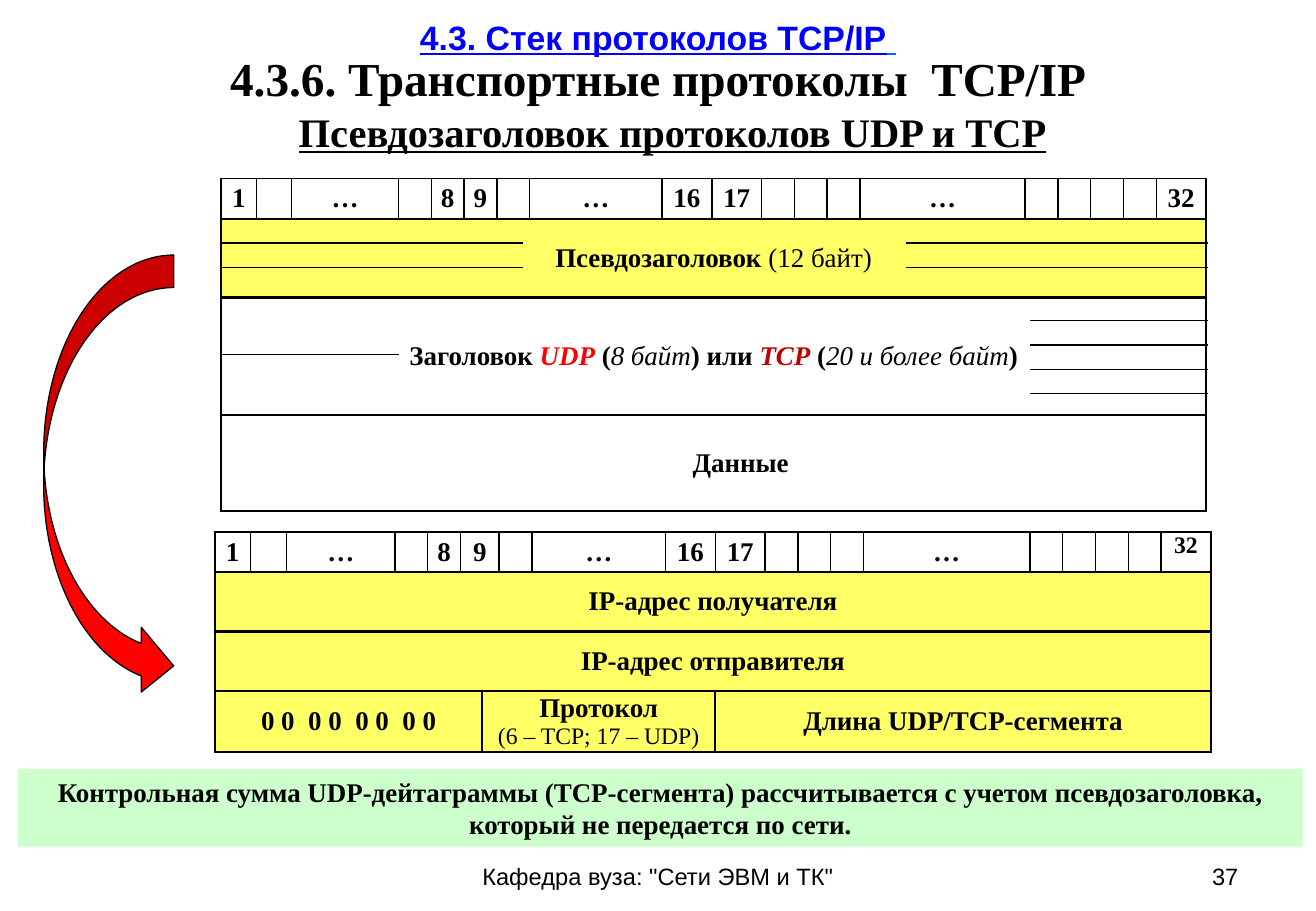
import pptx
import pptx.util
import pptx.dml.color
import pptx.enum.shapes
import pptx.enum.text
import pptx.oxml.ns
from dataclasses import dataclass
from lxml import etree

Inches, Pt = pptx.util.Inches, pptx.util.Pt
Align = pptx.enum.text.PP_ALIGN
Anchor = pptx.enum.text.MSO_ANCHOR


@dataclass(frozen=True)
class Theme:
    """Colours, fonts and type sizes of the slide."""
    black: str = "000000"
    link: str = "0000FF"
    link_end: str = "0066FF"
    red: str = "FF0000"
    dark_red: str = "C00000"
    yellow: str = "FFFF66"
    green: str = "CCFFCC"
    serif: str = "Times New Roman"
    sans: str = "Arial"
    title: int = 28
    subtitle: int = 24
    section: int = 20
    body: int = 16
    small: int = 14


theme = Theme()
PLAIN = {"bold": False}
ITALIC = {"bold": False, "italic": True}
SMALL = {"bold": False, "size": theme.small}
SECTION = {"name": theme.sans, "size": theme.section, "underline": True}
FOOTER = {"name": theme.sans, "size": theme.small, "bold": False}

# A paragraph is a list of (text, format) runs.
TITLE = [
    [("4.3. Стек протоколов TCP/IP", {**SECTION, "color": theme.link}),
     (" ", {**SECTION, "color": theme.link_end})],
    [("4.3.6. Транспортные протоколы  TCP/IP", {"size": theme.title})],
]
SUBTITLE = [[("Псевдозаголовок протоколов UDP и TCP",
              {"size": theme.subtitle, "underline": True})]]
SUMMARY = [[("Контрольная сумма UDP-дейтаграммы (TCP-сегмента) рассчитывается с учетом "
             "псевдозаголовка, который не передается по сети.", {})]]
FOOTERS = [  # left, width, alignment, text
    (3.7, 3.43, Align.CENTER, 'Кафедра вуза: "Сети ЭВМ и ТК"'),
    (7.76, 2.53, Align.RIGHT, "37"),
]
BITS = ["1", "", "…", "", "8", "9", "", "…", "16", "17", "", "", "", "…", "", "", "", "", "32"]


def bit_cells(**changes):
    """Return the bit-number row, with extra settings for the named bits."""
    return [{"text": [[(bit, {})]], "inset": 0.02, "border": 1,
             **changes.get("bit" + bit, {})} for bit in BITS]


def field(*paragraphs, **settings):
    """Return a body cell holding the given paragraphs."""
    return {"text": list(paragraphs), "inset": 0.07, "border": 1.5, **settings}


TABLES = [
    {"left": 1.82, "top": 1.47,
     "columns": [0.29, 0.29, 0.88] + [0.27] * 4 + [1.09, 0.41, 0.41] + [0.27] * 3
                + [1.36] + [0.27] * 4 + [0.41],
     "heights": [0.33, 0.65, 0.97, 0.79],
     "rows": [
         bit_cells(),
         [field([("Псевдозаголовок ", {}), ("(12 байт)", PLAIN)], span=19, fill=theme.yellow)],
         [field([("Заголовок ", {}), ("UDP", {"color": theme.red, "italic": True}),
                 (" (", {}), ("8 байт", ITALIC), (") или ", {}),
                 ("ТСР", {"color": theme.dark_red, "italic": True}),
                 (" (", {}), ("20 и более байт", ITALIC), (")", {})], span=19)],
         [field([("Данные ", {})], span=19, indent=0.5)],
     ]},
    {"left": 1.77, "top": 4.38,
     "columns": [0.29, 0.3, 0.89, 0.27, 0.27, 0.14, 0.14, 0.27, 1.1, 0.41, 0.41]
                + [0.27] * 3 + [1.37] + [0.27] * 4 + [0.41],
     "heights": [0.33, 0.49, 0.49, 0.49],
     "rows": [
         bit_cells(bit9={"span": 2},
                   bit32={"text": [[("32", {"size": theme.small})]], "anchor": Anchor.TOP}),
         [field([("IP-адрес получателя", {})], span=20, fill=theme.yellow)],
         [field([("IP-адрес отправителя", {})], span=20, fill=theme.yellow)],
         [field([("0 0  0 0  0 0  0 0", {})], span=6, fill=theme.yellow),
          field([("Протокол", {})], [("(6 – TCP; 17 – UDP)", SMALL)],
                span=4, fill=theme.yellow),
          field([("Длина UDP/ТСР-сегмента", {})], span=10, fill=theme.yellow)],
     ]},
]
WORD_LINES = [  # from x, to x, top of the field, step, count
    (1.82, 4.3, 1.8, 0.2, 2),
    (7.46, 9.94, 1.8, 0.2, 2),
    (1.82, 3.28, 2.44, 0.48, 1),
    (8.48, 9.94, 2.44, 0.2, 4),
]


def rgb(value):
    """Return a colour object for a hex string."""
    return pptx.dml.color.RGBColor.from_string(value)


def write(frame, paragraphs, align=Align.CENTER, indent=0, spacing=None):
    """Fill a text frame with paragraphs of formatted runs."""
    for index, runs in enumerate(paragraphs):
        paragraph = frame.add_paragraph() if index else frame.paragraphs[0]
        paragraph.alignment, paragraph.line_spacing = align, spacing
        if indent:
            paragraph._p.get_or_add_pPr().set("indent", str(Inches(indent)))
        for text, changes in runs:
            values = {"name": theme.serif, "size": theme.body, "bold": True,
                      "italic": False, "color": theme.black, **changes}
            run = paragraph.add_run()
            run.text = text
            run.font.color.rgb = rgb(values.pop("color"))
            values["size"] = Pt(values["size"])
            for name, value in values.items():
                setattr(run.font, name, value)


def add_text(slide, box, paragraphs, align=Align.CENTER):
    """Add a wrapped, vertically centred text box."""
    frame = slide.shapes.add_textbox(*map(Inches, box)).text_frame
    frame.word_wrap, frame.vertical_anchor = True, Anchor.MIDDLE
    write(frame, paragraphs, align)


def add_preset(slide, kind, box, fill, line=None):
    """Add a flat preset shape."""
    shape = slide.shapes.add_shape(kind, *map(Inches, box))
    shape.shadow.inherit = False
    shape.fill.solid()
    shape.fill.fore_color.rgb = rgb(fill)
    if line:
        shape.line.color.rgb, shape.line.width = rgb(theme.black), Pt(line)
    else:
        shape.line.fill.background()
    return shape


def set_borders(cell, width):
    """Draw all four borders of a cell."""
    qn = pptx.oxml.ns.qn
    properties = cell._tc.get_or_add_tcPr()
    for side in ("a:lnL", "a:lnR", "a:lnT", "a:lnB"):
        line = etree.SubElement(properties, qn(side), w=str(Pt(width)))
        fill = etree.SubElement(line, qn("a:solidFill"))
        etree.SubElement(fill, qn("a:srgbClr"), val=theme.black)


def format_cell(cell, content):
    """Apply borders, margins, anchor and fill to a cell."""
    set_borders(cell, content["border"])
    margin = Inches(content["inset"])
    settings = {"margin_left": margin, "margin_right": margin, "margin_top": 0,
                "margin_bottom": 0, "vertical_anchor": content.get("anchor", Anchor.MIDDLE)}
    for name, value in settings.items():
        setattr(cell, name, value)
    if "fill" in content:
        cell.fill.solid()
        cell.fill.fore_color.rgb = rgb(content["fill"])
    else:
        cell.fill.background()


def add_format_table(slide, data):
    """Add a packet-format table whose cells may span columns."""
    columns, heights = data["columns"], data["heights"]
    box = (data["left"], data["top"], sum(columns), sum(heights))
    table = slide.shapes.add_table(len(heights), len(columns), *map(Inches, box)).table
    table.first_row = table.horz_banding = False
    for column, width in zip(table.columns, columns):
        column.width = Inches(width)
    for row, (height, contents) in enumerate(zip(heights, data["rows"])):
        table.rows[row].height = Inches(height)
        start = 0
        for content in contents:
            end = start + content.get("span", 1)
            for column in range(start, end):
                format_cell(table.cell(row, column), content)
            cell = table.cell(row, start)
            if end - start > 1:
                cell.merge(table.cell(row, end - 1))
            write(cell.text_frame, content["text"], indent=content.get("indent", 0))
            start = end


def add_line(slide, start, end, y):
    """Add a thin horizontal line."""
    line = slide.shapes.add_connector(pptx.enum.shapes.MSO_CONNECTOR.STRAIGHT,
                                      *map(Inches, (start, y, end, y)))
    line.line.color.rgb, line.line.width = rgb(theme.black), Pt(0.75)
    etree.SubElement(line._element.spPr, pptx.oxml.ns.qn("a:effectLst"))


presentation = pptx.Presentation()
presentation.slide_width, presentation.slide_height = Inches(10.83), Inches(7.5)
slide = presentation.slides.add_slide(presentation.slide_layouts[5])

title = slide.shapes.title
title.left, title.top, title.width, title.height = map(Inches, (0.54, 0.01, 9.75, 1.04))
title.text_frame.auto_size = pptx.enum.text.MSO_AUTO_SIZE.NONE
title.text_frame.vertical_anchor = Anchor.MIDDLE
write(title.text_frame, TITLE, spacing=0.85)
add_text(slide, (2.11, 0.83, 6.85, 0.5), SUBTITLE)
for left, width, align, text in FOOTERS:
    add_text(slide, (left, 7.05, width, 0.33), [[(text, FOOTER)]], align)

for data in TABLES:
    add_format_table(slide, data)
for start, end, top, step, count in WORD_LINES:
    for number in range(1, count + 1):
        add_line(slide, start, end, top + number * step)

presets = pptx.enum.shapes.MSO_SHAPE
add_preset(slide, presets.CURVED_RIGHT_ARROW, (0.36, 2.1, 1.07, 3.65), theme.red, 0.75)
summary = add_preset(slide, presets.RECTANGLE, (0.15, 6.33, 10.57, 0.64), theme.green)
summary.text_frame.word_wrap = True
write(summary.text_frame, SUMMARY)

presentation.save("out.pptx")
